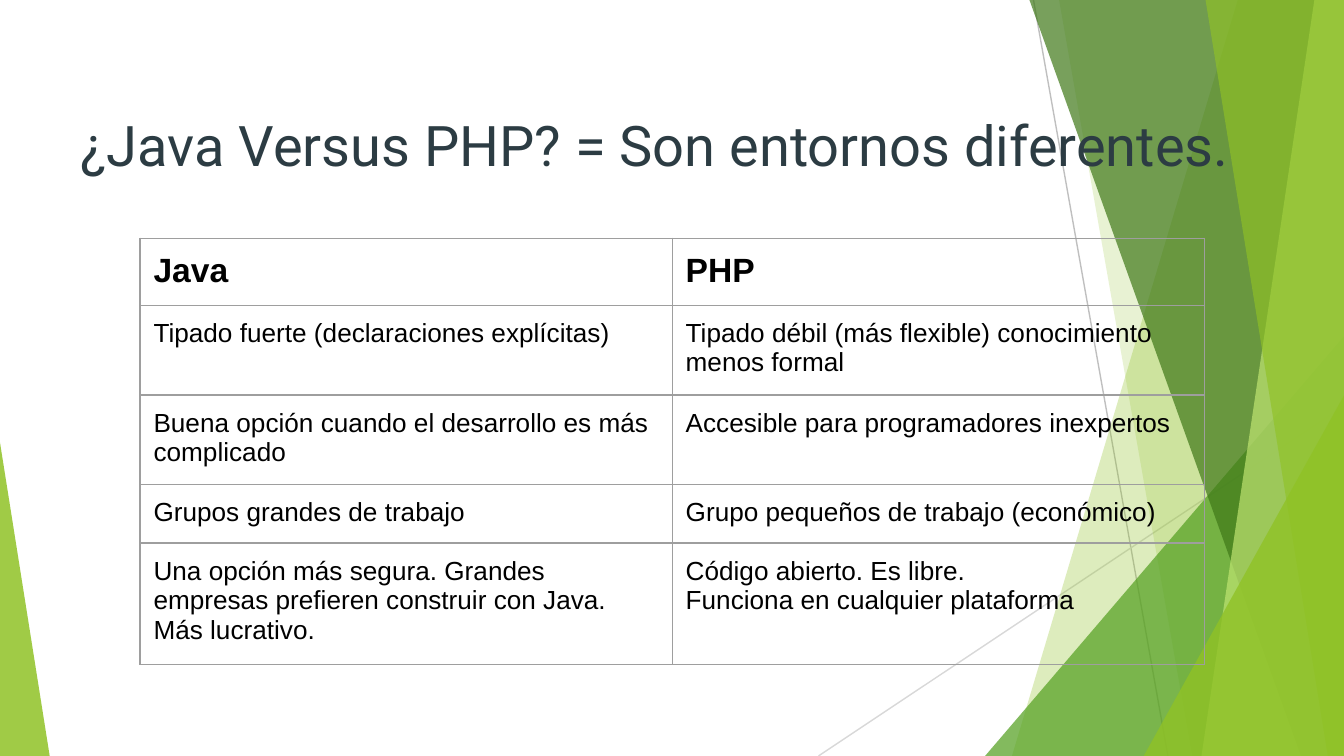
from dataclasses import dataclass

from lxml import etree
from pptx import Presentation
from pptx.dml.color import RGBColor
from pptx.enum.shapes import MSO_CONNECTOR, MSO_SHAPE
from pptx.enum.text import MSO_ANCHOR
from pptx.oxml.ns import qn
from pptx.util import Emu, Inches, Pt

TRIANGLE = MSO_SHAPE.ISOSCELES_TRIANGLE
STRAIGHT = MSO_CONNECTOR.STRAIGHT
BOTTOM = MSO_ANCHOR.BOTTOM
BLANK_LAYOUT = 6
WIDTH = Inches(10)
HEIGHT = Emu(WIDTH * 9 // 16)


@dataclass(frozen=True)
class Theme:
    lime: str = "90C226"
    pale_lime: str = "BFE471"
    green: str = "54A021"
    dark_green: str = "3F7818"
    gray: str = "BFBFBF"
    pale_gray: str = "D8D8D8"
    ink: str = "2C3C43"
    black: str = "000000"
    border: str = "9E9E9E"
    title_font: str = "Roboto"
    table_font: str = "Arial"
    title_size: int = 30
    header_size: int = 18
    body_size: int = 14
    line_width: float = 0.75


THEME = Theme()


# Positions are percentages of the slide's width or height.
@dataclass(frozen=True)
class Ray:
    start: tuple[float, float]
    end: tuple[float, float]
    color: str


@dataclass(frozen=True)
class Panel:
    """A full-height band from a slanted left side to the right edge."""
    top_left: float
    bottom_left: float
    color: str
    opacity: int


@dataclass(frozen=True)
class Corner:
    """A right triangle on the bottom edge; apex 0 is left, 1 is right."""
    left: float
    top: float
    width: float
    apex: int
    color: str
    opacity: int


RAYS = (
    Ray((76.9, 0), (86.9, 100), THEME.gray),
    Ray((100, 53.7), (60.9, 100), THEME.pale_gray),
)
FACETS = (
    Panel(92.1, 75.3, THEME.lime, 30),
    Panel(78.8, 88.7, THEME.lime, 20),
    Corner(73.3, 44.5, 26.7, 1, THEME.green, 72),
    Panel(76.6, 96.8, THEME.dark_green, 70),
    Panel(97.8, 89.4, THEME.pale_lime, 70),
    Panel(89.7, 98.8, THEME.lime, 65),
    Corner(85.1, 52.3, 14.9, 1, THEME.lime, 80),
    Corner(0, 58.5, 3.7, 0, THEME.lime, 85),
)
TITLE = "¿Java Versus PHP? = Son entornos diferentes."
ROWS = (
    ("Java", "PHP"),
    ("Tipado fuerte (declaraciones explícitas)",
     "Tipado débil (más flexible) conocimiento menos formal"),
    ("Buena opción cuando el desarrollo es más complicado",
     "Accesible para programadores inexpertos"),
    ("Grupos grandes de trabajo", "Grupo pequeños de trabajo (económico)"),
    ("Una opción más segura. Grandes empresas prefieren construir con Java. "
     "Más lucrativo.",
     "Código abierto. Es libre.\nFunciona en cualquier plataforma"),
)
MINIMUM_ROW_HEIGHT = Inches(0.42)


def across(percent: float) -> Emu:
    return Emu(round(WIDTH * percent / 100))


def down(percent: float) -> Emu:
    return Emu(round(HEIGHT * percent / 100))


def draw_ray(slide, ray: Ray) -> None:
    connector = slide.shapes.add_connector(
        STRAIGHT, across(ray.start[0]), down(ray.start[1]),
        across(ray.end[0]), down(ray.end[1]))
    connector.line.color.rgb = RGBColor.from_string(ray.color)
    connector.line.width = Pt(THEME.line_width)
    etree.SubElement(connector._element.spPr, qn("a:effectLst"))


def draw_facet(slide, facet: Panel | Corner) -> None:
    if isinstance(facet, Panel):
        builder = slide.shapes.build_freeform(across(facet.top_left), 0)
        builder.add_line_segments(
            [(WIDTH, 0), (WIDTH, HEIGHT), (across(facet.bottom_left), HEIGHT)])
        shape = builder.convert_to_shape()
    else:
        shape = slide.shapes.add_shape(
            TRIANGLE, across(facet.left), down(facet.top),
            across(facet.width), down(100 - facet.top))
        shape.adjustments[0] = facet.apex
    shape.shadow.inherit = False
    shape.line.fill.background()
    shape.fill.solid()
    shape.fill.fore_color.rgb = RGBColor.from_string(facet.color)
    color = shape._element.spPr.find(qn("a:solidFill"))[0]
    etree.SubElement(color, qn("a:alpha"), val=str(facet.opacity * 1000))


def add_text(paragraph, text: str, font: str, size: int, color: str,
             bold: bool = False) -> None:
    run = paragraph.add_run()
    run.text = text
    run.font.name = font
    run.font.size = Pt(size)
    run.font.bold = bold
    run.font.color.rgb = RGBColor.from_string(color)


def draw_title(slide) -> None:
    box = slide.shapes.add_textbox(across(5), down(4.2), across(90), down(20.2))
    frame = box.text_frame
    frame.word_wrap = True
    frame.vertical_anchor = BOTTOM
    add_text(frame.paragraphs[0], TITLE, THEME.title_font, THEME.title_size,
             THEME.ink)


def set_borders(cell) -> None:
    properties = cell._tc.get_or_add_tcPr()
    for position, side in enumerate(("a:lnL", "a:lnR", "a:lnT", "a:lnB")):
        line = etree.Element(qn(side), w=str(Pt(THEME.line_width)))
        fill = etree.SubElement(line, qn("a:solidFill"))
        etree.SubElement(fill, qn("a:srgbClr"), val=THEME.border)
        properties.insert(position, line)


def fill_cell(cell, text: str, header: bool) -> None:
    cell.fill.background()
    set_borders(cell)
    cell.margin_left = cell.margin_right = Inches(0.1)
    cell.margin_top = cell.margin_bottom = Inches(0.1)
    frame = cell.text_frame
    size = THEME.header_size if header else THEME.body_size
    for index, line in enumerate(text.split("\n")):
        paragraph = frame.add_paragraph() if index else frame.paragraphs[0]
        add_text(paragraph, line, THEME.table_font, size, THEME.black, header)


def draw_table(slide) -> None:
    """Draw the comparison; rows grow from the minimum to fit their text."""
    table = slide.shapes.add_table(
        len(ROWS), len(ROWS[0]), across(10.42), down(31.5), across(79.2),
        Emu(MINIMUM_ROW_HEIGHT * len(ROWS))).table
    table.first_row = table.horz_banding = False
    for row_index, texts in enumerate(ROWS):
        for column_index, text in enumerate(texts):
            fill_cell(table.cell(row_index, column_index), text, row_index == 0)


def main() -> None:
    presentation = Presentation()
    presentation.slide_width, presentation.slide_height = WIDTH, HEIGHT
    slide = presentation.slides.add_slide(
        presentation.slide_layouts[BLANK_LAYOUT])
    for ray in RAYS:
        draw_ray(slide, ray)
    for facet in FACETS:
        draw_facet(slide, facet)
    draw_title(slide)
    draw_table(slide)
    presentation.save("out.pptx")


if __name__ == "__main__":
    main()
